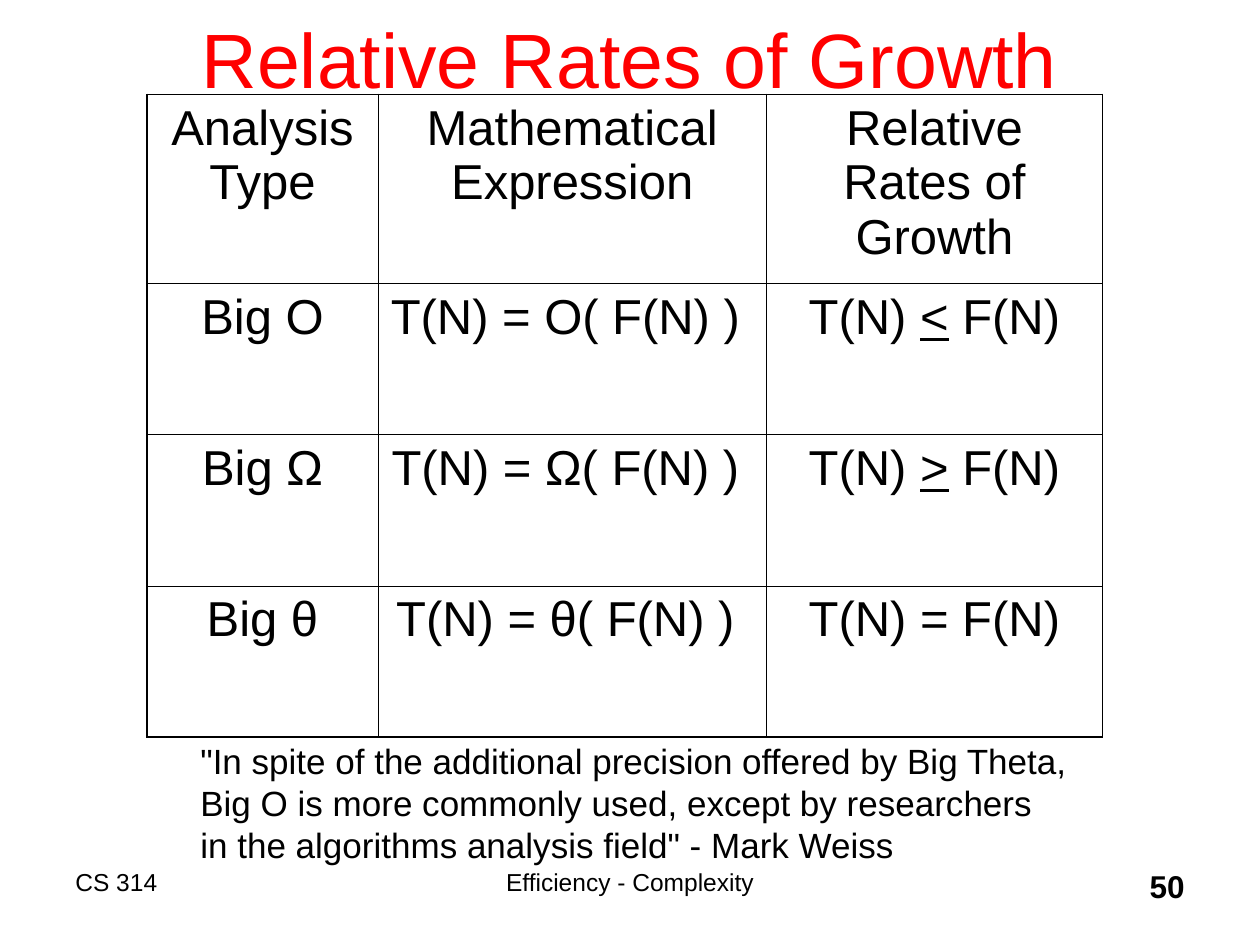
from typing import NamedTuple

from lxml import etree
from pptx import Presentation
from pptx.dml.color import RGBColor
from pptx.enum.text import MSO_ANCHOR, MSO_AUTO_SIZE, PP_ALIGN
from pptx.oxml.ns import qn
from pptx.util import Inches, Pt

LEFT, CENTER, RIGHT = PP_ALIGN.LEFT, PP_ALIGN.CENTER, PP_ALIGN.RIGHT
TOP, MIDDLE = MSO_ANCHOR.TOP, MSO_ANCHOR.MIDDLE
FIT_SHAPE = MSO_AUTO_SIZE.SHAPE_TO_FIT_TEXT

COLORS = {"text": "000000", "title": "FF0000", "rule": "000000"}
FONT = "Arial"
GRID_STEPS = 12  # grid steps per inch: the slide is 120 columns by 90 rows
OUTER_RULE, INNER_RULE = 1.08, 0.45
MARK = "|"  # encloses the underlined part of a cell


class Label(NamedTuple):
    text: str
    column: float
    row: float
    columns: float
    rows: float
    size: int
    align: PP_ALIGN = LEFT
    anchor: MSO_ANCHOR = TOP
    color: str = "text"
    bold: bool = False
    wrap: bool = True


LABELS = [
    Label("CS 314", 6, 82, 30, 6, 14),
    Label("Efficiency - Complexity", 37, 82, 46, 6, 14, CENTER),
    Label("50", 89, 82, 25, 6, 18, RIGHT, bold=True),
    Label("Relative Rates of Growth", 9, -2, 102, 15, 44, CENTER, MIDDLE, "title"),
]
QUOTE = Label(
    '"In spite of the additional precision offered by Big Theta,\n'
    "Big O is more commonly used, except by researchers\n"
    'in the algorithms analysis field" - Mark Weiss',
    17.9, 69.8, 85.1, 13.2, 20, wrap=False,
)

TABLE_COLUMN, TABLE_ROW = 14, 9
COLUMN_WIDTHS = [22, 37, 32]
ROW_HEIGHTS = [18, 14.4, 14.4, 14.4]
GROWTH_RATES = [
    ("Analysis Type", "Mathematical\nExpression", "Relative Rates of Growth"),
    ("Big O", "T(N) = O( F(N) ) ", "T(N) |<| F(N)"),
    ("Big Ω", "T(N) = Ω( F(N) ) ", "T(N) |>| F(N)"),
    ("Big θ", "T(N) = θ( F(N) ) ", "T(N) = F(N)"),
]


def grid(steps: float) -> int:
    return Inches(steps / GRID_STEPS)


def style_font(font, size: int, color: str = "text", bold: bool = False) -> None:
    font.name, font.size, font.bold = FONT, Pt(size), bold
    font.color.rgb = RGBColor.from_string(COLORS[color])


def add_label(slide, label: Label) -> None:
    box = slide.shapes.add_textbox(
        grid(label.column), grid(label.row), grid(label.columns), grid(label.rows)
    )
    frame = box.text_frame
    frame.word_wrap, frame.vertical_anchor = label.wrap, label.anchor
    if not label.wrap:
        frame.auto_size = FIT_SHAPE
    paragraph = frame.paragraphs[0]
    paragraph.text, paragraph.alignment = label.text, label.align
    for run in paragraph.runs:
        style_font(run.font, label.size, label.color, label.bold)


def set_borders(cell, widths: dict[str, float]) -> None:
    properties = cell._tc.get_or_add_tcPr()
    for position, (side, width) in enumerate(widths.items()):
        line = etree.Element(qn(f"a:ln{side}"), w=str(Pt(width)))
        fill = etree.SubElement(line, qn("a:solidFill"))
        etree.SubElement(fill, qn("a:srgbClr"), val=COLORS["rule"])
        properties.insert(position, line)


def fill_cell(cell, text: str) -> None:
    cell.fill.background()
    paragraph = cell.text_frame.paragraphs[0]
    paragraph.alignment = CENTER
    if MARK in text:
        for position, part in enumerate(text.split(MARK)):
            run = paragraph.add_run()
            run.text, run.font.underline = part, position == 1
    else:
        paragraph.text = text
    for run in paragraph.runs:
        style_font(run.font, 28)


def add_growth_table(slide) -> None:
    last_row, last_column = len(ROW_HEIGHTS) - 1, len(COLUMN_WIDTHS) - 1
    table = slide.shapes.add_table(
        len(ROW_HEIGHTS), len(COLUMN_WIDTHS), grid(TABLE_COLUMN), grid(TABLE_ROW),
        grid(sum(COLUMN_WIDTHS)), grid(sum(ROW_HEIGHTS)),
    ).table
    table.first_row = table.horz_banding = False
    for column, width in zip(table.columns, COLUMN_WIDTHS):
        column.width = grid(width)
    for r, (height, texts) in enumerate(zip(ROW_HEIGHTS, GROWTH_RATES)):
        table.rows[r].height = grid(height)
        for c, text in enumerate(texts):
            cell = table.cell(r, c)
            fill_cell(cell, text)
            on_edge = {"L": c == 0, "R": c == last_column, "T": r == 0, "B": r == last_row}
            set_borders(cell, {
                side: OUTER_RULE if outer else INNER_RULE
                for side, outer in on_edge.items()
            })


def main() -> None:
    presentation = Presentation()
    presentation.slide_width, presentation.slide_height = Inches(10), Inches(7.5)
    slide = presentation.slides.add_slide(presentation.slide_layouts[6])
    for label in LABELS:
        add_label(slide, label)
    add_growth_table(slide)
    add_label(slide, QUOTE)
    presentation.save("out.pptx")


if __name__ == "__main__":
    main()
